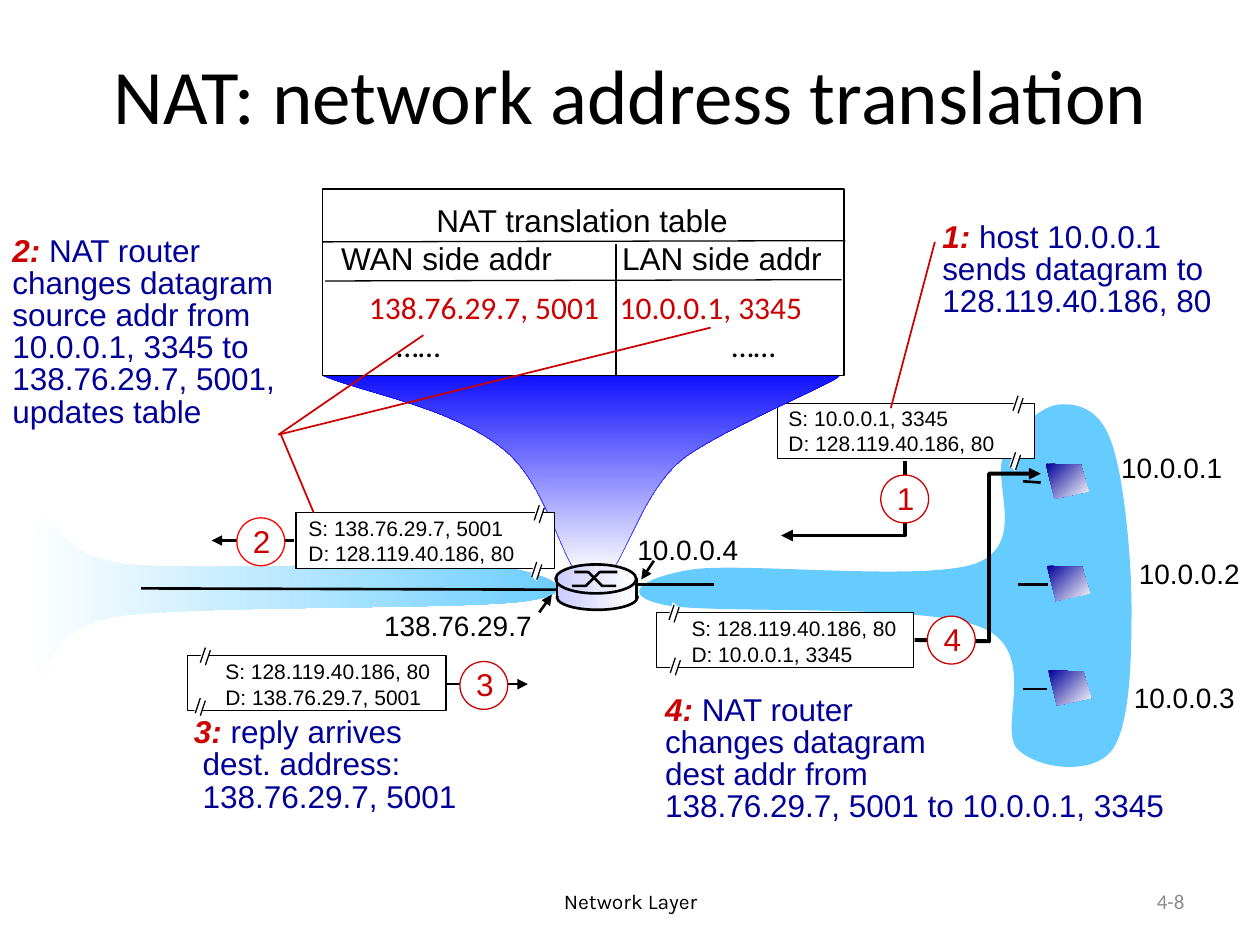
from dataclasses import dataclass
from typing import Optional, Union

from lxml import etree
from pptx import Presentation
from pptx import util as u
from pptx.dml import color
from pptx.enum import shapes, text
from pptx.oxml import ns

PX = 9144
Point = tuple[int, int]


@dataclass(frozen=True)
class Theme:
    black: str = "000000"
    white: str = "FFFFFF"
    red: str = "CC0000"
    bright_red: str = "FF0000"
    navy: str = "000099"
    blue: str = "0000FF"
    sky: str = "66CCFF"
    lavender: str = "CCCCFF"
    gray: str = "8C8C8C"
    sans: str = "Arial"
    heading: str = "Calibri"
    footer: str = "Karla"
    title_size: int = 44
    body_size: int = 18
    address_size: int = 16
    small_size: int = 12
    hairline: float = 0.25
    thin: float = 0.75
    pointer: float = 1
    medium: float = 1.5
    thick: float = 2.25


THEME = Theme()


@dataclass(frozen=True)
class Gradient:
    start: str
    end: str
    angle: int


Fill = Optional[Union[str, Gradient]]


@dataclass(frozen=True)
class Label:
    box: tuple[int, int, int, int]
    lines: tuple[str, ...]
    size: int = THEME.body_size
    inks: tuple[str, ...] = (THEME.black,)
    font: str = THEME.sans
    align: text.PP_ALIGN = text.PP_ALIGN.LEFT
    anchor: text.MSO_ANCHOR = text.MSO_ANCHOR.TOP
    wrap: bool = True
    lead: str = ""
    spacing: float = 1.0
    tabs: tuple[tuple[int, ...], ...] = ()


@dataclass(frozen=True)
class Datagram:
    box: tuple[int, int, int, int]
    text_at: Point
    source: str
    destination: str
    breaks: tuple[Point, Point]
    route: tuple[Point, ...]
    route_weight: float
    step: str
    circle: Point
    ring: str = THEME.red


def px(value: float) -> u.Emu:
    return u.Emu(round(value * PX))


def rgb(value: str) -> color.RGBColor:
    return color.RGBColor.from_string(value)


def set_all(target, values: dict) -> None:
    for name, value in values.items():
        setattr(target, name, value)


def style_line(line, ink: str, weight: float, arrow: bool = False) -> None:
    line.color.rgb = rgb(ink)
    line.width = u.Pt(weight)
    if arrow:
        etree.SubElement(line._get_or_add_ln(), ns.qn("a:tailEnd"), type="triangle")


def style_shape(shape, fill: Fill, ink: Optional[str], weight: float, arrow: bool = False) -> None:
    shape.shadow.inherit = False
    if fill is None:
        shape.fill.background()
    elif isinstance(fill, Gradient):
        shape.fill.gradient()
        shape.fill.gradient_angle = (360 - fill.angle) % 360
        for stop, value in zip(shape.fill.gradient_stops, (fill.start, fill.end)):
            stop.color.rgb = rgb(value)
    else:
        shape.fill.solid()
        shape.fill.fore_color.rgb = rgb(fill)
    if ink is None:
        shape.line.fill.background()
    else:
        style_line(shape.line, ink, weight, arrow)


def draw_shape(slide, kind, box, fill: Fill, ink: Optional[str] = None, weight: float = THEME.thin) -> None:
    style_shape(slide.shapes.add_shape(kind, *map(px, box)), fill, ink, weight)


def draw_path(slide, points, fill: Fill = None, ink: Optional[str] = None,
              weight: float = THEME.thin, arrow: bool = False):
    scaled = [(px(x), px(y)) for x, y in points]
    builder = slide.shapes.build_freeform(*scaled[0], scale=1.0)
    builder.add_line_segments(scaled[1:], close=fill is not None)
    shape = builder.convert_to_shape()
    style_shape(shape, fill, ink, weight, arrow)
    return shape


def draw_curve(slide, start: Point, segments, fill: Fill, ink: Optional[str] = None,
               weight: float = THEME.thin) -> None:
    points = [start, *(point for segment in segments for point in segment)]
    shape = draw_path(slide, points, fill, ink, weight)
    steps = iter(list(shape._element.iter(ns.qn("a:lnTo"))))
    for segment in segments:
        group = [next(steps) for _ in segment]
        if len(group) == 3:
            curve = etree.Element(ns.qn("a:cubicBezTo"))
            group[0].addprevious(curve)
            for step in group:
                curve.append(step[0])
                step.getparent().remove(step)


def draw_line(slide, start: Point, end: Point, ink: str = THEME.black,
              weight: float = THEME.medium, arrow: bool = False) -> None:
    connector = slide.shapes.add_connector(shapes.MSO_CONNECTOR.STRAIGHT, *map(px, (*start, *end)))
    style_line(connector.line, ink, weight, arrow)
    etree.SubElement(connector._element.spPr, ns.qn("a:effectLst"))


def add_run(paragraph, content: str, ink: str, values: dict) -> None:
    run = paragraph.add_run()
    run.text = content
    set_all(run.font, values)
    run.font.color.rgb = rgb(ink)


def draw_label(slide, label: Label) -> None:
    frame = slide.shapes.add_textbox(*map(px, label.box)).text_frame
    fit = text.MSO_AUTO_SIZE.NONE if label.wrap else text.MSO_AUTO_SIZE.SHAPE_TO_FIT_TEXT
    set_all(frame, {"word_wrap": label.wrap, "vertical_anchor": label.anchor, "auto_size": fit})
    font = {"size": u.Pt(label.size), "name": label.font}
    for index, content in enumerate(label.lines):
        paragraph = frame.paragraphs[0] if index == 0 else frame.add_paragraph()
        stops = label.tabs[index] if label.tabs else ()
        if stops:
            tab_list = etree.SubElement(paragraph._p.get_or_add_pPr(), ns.qn("a:tabLst"))
            for stop in stops:
                etree.SubElement(tab_list, ns.qn("a:tab"), pos=str(px(stop)), algn="l")
        align = text.PP_ALIGN.LEFT if stops else label.align
        set_all(paragraph, {"alignment": align, "line_spacing": label.spacing})
        if index == 0 and label.lead:
            add_run(paragraph, label.lead, THEME.red, font | {"bold": True, "italic": True})
        add_run(paragraph, content, label.inks[index % len(label.inks)], font)


def draw_note(slide, box, lead: str, *lines: str) -> None:
    draw_label(slide, Label(box, lines, inks=(THEME.navy,), wrap=False, lead=lead, spacing=0.85))


def draw_address(slide, left: int, top: int, address: str, width: int = 101) -> None:
    draw_label(slide, Label((left, top, width, 37), (address,), THEME.address_size, wrap=False))


def draw_datagram(slide, item: Datagram) -> None:
    draw_shape(slide, shapes.MSO_SHAPE.RECTANGLE, item.box, THEME.white, THEME.black)
    draw_label(slide, Label((*item.text_at, 194, 50), (f"S: {item.source}", f"D: {item.destination}"),
                            THEME.small_size))
    for x, y in item.breaks:
        draw_path(slide, [(x + 4, y), (x, y + 13), (x + 5, y + 17), (x + 9, y + 4)], THEME.white)
        for shift in (0, 4):
            draw_line(slide, (x + 5 + shift, y + 2 + shift // 2), (x + 1 + shift, y + 14 + shift // 2),
                      weight=THEME.thin)
    if len(item.route) == 2:
        draw_line(slide, *item.route, weight=item.route_weight, arrow=True)
    else:
        draw_path(slide, item.route, ink=THEME.black, weight=item.route_weight, arrow=True)
    draw_shape(slide, shapes.MSO_SHAPE.OVAL, (*item.circle, 38, 38), THEME.white, item.ring)
    left, top = item.circle
    draw_label(slide, Label((left + 3, top - 2, 34, 40), (item.step,), inks=(THEME.red,), wrap=False))


def draw_networks(slide) -> None:
    draw_curve(slide, (392, 449), (
        ((339, 444), (162, 454), (102, 448)), ((42, 443), (43, 399), (31, 414)),
        ((20, 428), (21, 522), (31, 535)), ((42, 548), (29, 499), (93, 489)),
        ((158, 480), (368, 484), (417, 477)), ((467, 470), (436, 455), (392, 449))),
        Gradient(THEME.white, THEME.sky, 0))
    draw_curve(slide, (549, 452), (
        ((591, 446), (734, 462), (775, 447)), ((816, 431), (786, 381), (797, 360)),
        ((807, 339), (827, 322), (841, 321)), ((855, 320), (873, 324), (882, 351)),
        ((892, 378), (898, 442), (898, 483)), ((898, 524), (897, 577), (882, 596)),
        ((867, 615), (825, 611), (808, 595)), ((791, 579), (826, 517), (779, 498)),
        ((732, 478), (565, 488), (527, 480)), ((489, 472), (511, 458), (549, 452))), THEME.sky)


def draw_table(slide) -> None:
    draw_curve(slide, (256, 298), (
        ((256, 298), (617, 287), (665, 298)), ((679, 297), (571, 341), (541, 365)),
        ((511, 390), (497, 441), (484, 455)), ((458, 455),), ((444, 438), (432, 382), (399, 356)),
        ((358, 323), (289, 312), (256, 298))),
        Gradient(THEME.blue, THEME.white, 90), THEME.blue, THEME.hairline)
    draw_shape(slide, shapes.MSO_SHAPE.RECTANGLE, (256, 150, 414, 148), THEME.white, THEME.black)
    draw_label(slide, Label((261, 155, 402, 70), ("NAT translation table", "WAN side addr\tLAN side addr"),
                            align=text.PP_ALIGN.CENTER, tabs=((), (223,))))
    for start, end in (((256, 192), (671, 191)), ((258, 223), (668, 222)), ((489, 194), (489, 298))):
        draw_line(slide, start, end, weight=THEME.thin)
    draw_label(slide, Label((263, 224, 405, 70), ("\t138.76.29.7, 5001\t10.0.0.1, 3345", "\t……\t……"),
                            inks=(THEME.red, THEME.black), font=THEME.heading, tabs=((20, 219), (42, 308))))


def draw_router(slide) -> None:
    metal = Gradient(THEME.lavender, THEME.white, 0)
    for kind, box, ink in ((shapes.MSO_SHAPE.OVAL, (442, 464, 64, 20), THEME.black),
                           (shapes.MSO_SHAPE.RECTANGLE, (442, 461, 64, 12), None),
                           (shapes.MSO_SHAPE.OVAL, (441, 448, 64, 23), THEME.black)):
        draw_shape(slide, kind, box, metal, ink, THEME.medium)
    for points in (((454, 465), (465, 465), (476, 454), (490, 454)),
                   ((456, 454), (467, 454), (478, 465), (489, 465))):
        draw_path(slide, points, ink=THEME.black, weight=THEME.medium)
    for x in (442, 505):
        draw_line(slide, (x, 459), (x, 475))


def main() -> None:
    presentation = Presentation()
    set_all(presentation, {"slide_width": px(1000), "slide_height": px(750)})
    slide = presentation.slides.add_slide(presentation.slide_layouts[6])
    middle, center = text.MSO_ANCHOR.MIDDLE, text.PP_ALIGN.CENTER
    for label in (
        Label((58, 25, 885, 99), ("NAT: network address translation",), THEME.title_size,
              font=THEME.heading, align=center, anchor=middle),
        Label((342, 695, 317, 40), ("Network Layer",), THEME.small_size,
              font=THEME.footer, align=center, anchor=middle),
        Label((717, 695, 233, 40), ("4-8",), THEME.small_size, (THEME.gray,), THEME.heading,
              text.PP_ALIGN.RIGHT, middle),
    ):
        draw_label(slide, label)

    draw_networks(slide)
    for start, end in (((501, 464), (567, 464)), ((812, 382), (826, 383)), ((808, 464), (832, 464)),
                       ((812, 547), (831, 547)), ((112, 467), (443, 468))):
        draw_line(slide, start, end)
    for left, top, address in ((880, 353, "10.0.0.1"), (894, 437, "10.0.0.2"), (890, 535, "10.0.0.3"),
                               (496, 418, "10.0.0.4")):
        draw_address(slide, left, top, address)
    draw_address(slide, 295, 478, "138.76.29.7", 138)
    for start, end in (((519, 445), (509, 460)), ((428, 486), (438, 472))):
        draw_line(slide, start, end, arrow=True)

    server, host, public = "128.119.40.186, 80", "10.0.0.1, 3345", "138.76.29.7, 5001"
    draw_datagram(slide, Datagram((617, 320, 204, 44), (616, 317), host, server, ((803, 312), (801, 357)),
                                  ((718, 366), (718, 425), (620, 425)), THEME.thick, "1", (699, 377)))
    draw_table(slide)
    for datagram in (
        Datagram((521, 486, 204, 44), (539, 484), server, host, ((530, 478), (531, 520)),
                 ((726, 508), (785, 509), (785, 376), (826, 376)), THEME.thick, "4", (736, 489)),
        Datagram((235, 407, 205, 44), (235, 404), public, server, ((423, 399), (421, 444)),
                 ((233, 429), (168, 429)), THEME.medium, "2", (188, 411), THEME.bright_red),
        Datagram((149, 520, 205, 44), (169, 518), server, public, ((158, 512), (154, 552)),
                 ((354, 543), (419, 543)), THEME.medium, "3", (365, 525)),
    ):
        draw_datagram(slide, datagram)

    draw_note(slide, (738, 172, 235, 87), "1: ", "host 10.0.0.1", "sends datagram to", server)
    draw_note(slide, (0, 183, 230, 163), "2: ", "NAT router", "changes datagram", "source addr from",
              "10.0.0.1, 3345 to", "138.76.29.7, 5001,", "updates table")
    draw_note(slide, (144, 565, 230, 87), "3: ", "reply arrives", " dest. address:", " 138.76.29.7, 5001")
    draw_note(slide, (518, 547, 423, 142), "4: ", "NAT router", "changes datagram", "dest addr from",
              "138.76.29.7, 5001 to 10.0.0.1, 3345")
    for start, end in (((742, 192), (707, 324)), ((223, 345), (249, 407)),
                       ((221, 345), (336, 266)), ((221, 345), (564, 260))):
        draw_line(slide, start, end, THEME.red, THEME.pointer)

    draw_router(slide)
    for x, y in ((830, 368), (831, 449), (832, 532)):
        draw_path(slide, [(x, y), (x + 28, y + 1), (x + 34, y + 22), (x + 7, y + 28)],
                  Gradient(THEME.navy, THEME.white, 45))
    presentation.save("out.pptx")


if __name__ == "__main__":
    main()
